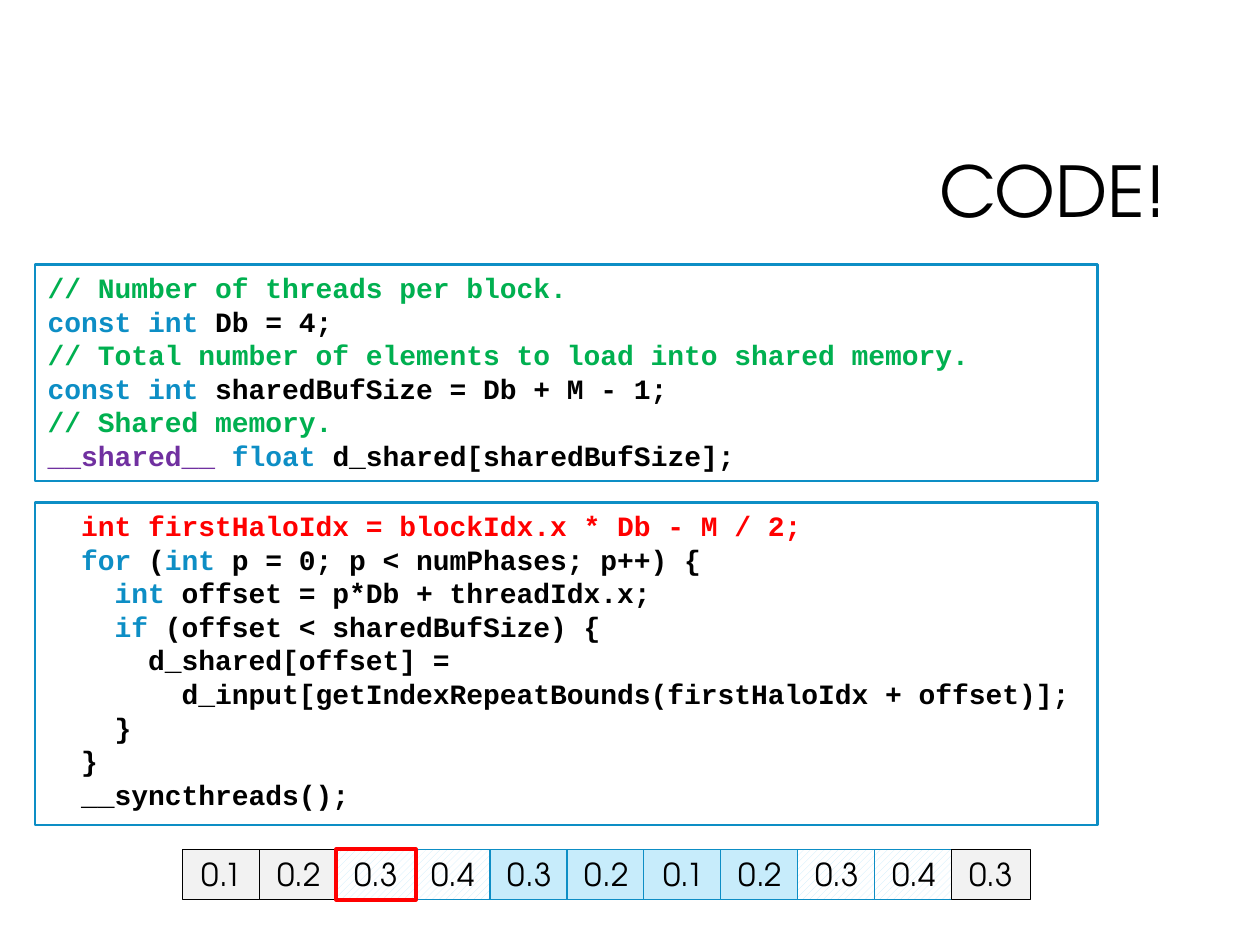
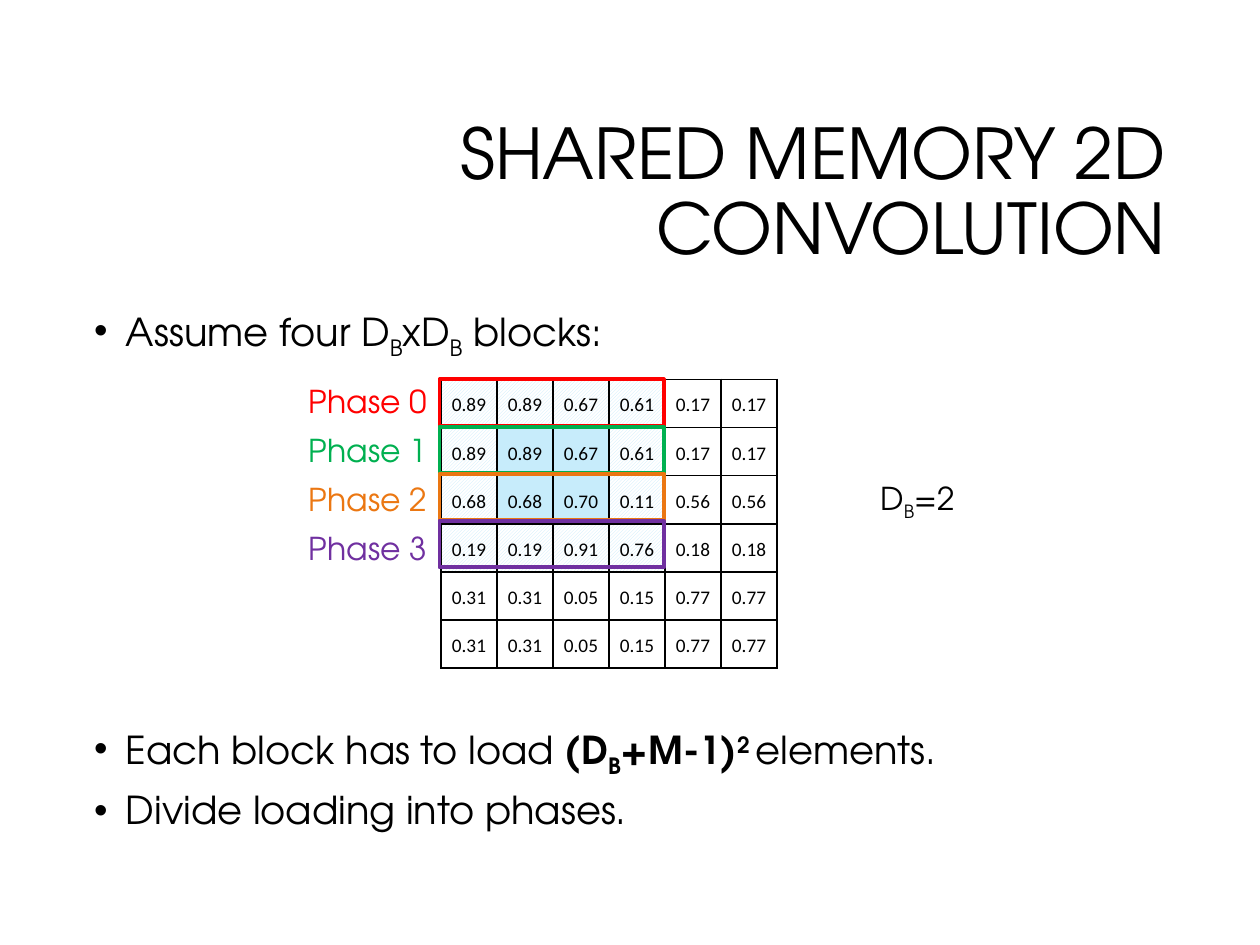
from lxml.etree import SubElement
from pptx import Presentation
from pptx.dml.color import RGBColor
from pptx.enum.dml import MSO_PATTERN as Pat
from pptx.enum.shapes import MSO_SHAPE as Shp
from pptx.enum.text import MSO_ANCHOR as Anchor, PP_ALIGN as Align
from pptx.oxml.ns import qn
from pptx.util import Cm, Pt

BLACK = RGBColor(0x00, 0x00, 0x00)
WHITE = RGBColor(0xFF, 0xFF, 0xFF)
BLUE = RGBColor(0x0D, 0x8E, 0xC5)
PALE = RGBColor(0xC7, 0xEC, 0xFB)
GREY = RGBColor(0xF2, 0xF2, 0xF2)
RED = RGBColor(0xFF, 0x00, 0x00)
GREEN = RGBColor(0x00, 0xB0, 0x50)
ORANGE = RGBColor(0xEB, 0x77, 0x12)
PURPLE = RGBColor(0x70, 0x30, 0xA0)
SANS, MONO, TABLE_FONT = "TeX Gyre Adventor", "Courier New", "Calibri"

DECLARATIONS = [
    [("// Number of threads per block.", GREEN)],
    [("const int ", BLUE), ("Db = 4;", BLACK)],
    [("// Total number of elements to load into shared memory.", GREEN)],
    [("const int ", BLUE), ("sharedBufSize = Db + M - 1;", BLACK)],
    [("// Shared memory.", GREEN)],
    [("__shared__ ", PURPLE), ("float ", BLUE), ("d_shared[sharedBufSize];", BLACK)],
]
LOADING_LOOP = [
    [("  int firstHaloIdx = blockIdx.x * Db - M / 2;", RED)],
    [("  for", BLUE), (" (", BLACK), ("int", BLUE),
     (" p = 0; p < numPhases; p++) {", BLACK)],
    [("    int", BLUE), (" offset = p*Db + threadIdx.x;", BLACK)],
    [("    if", BLUE), (" (offset < sharedBufSize) {", BLACK)],
    [("      d_shared[offset] =", BLACK)],
    [("        d_input[getIndexRepeatBounds(firstHaloIdx + offset)];", BLACK)],
    [("    }", BLACK)],
    [("  }", BLACK)],
    [("  __syncthreads();", BLACK)],
]
BUFFER = [0.1, 0.2, 0.3, 0.4, 0.3, 0.2, 0.1, 0.2, 0.3, 0.4, 0.3]
FIRST_HALO = 2
IMAGE = [
    [0.89, 0.89, 0.67, 0.61, 0.17, 0.17],
    [0.89, 0.89, 0.67, 0.61, 0.17, 0.17],
    [0.68, 0.68, 0.70, 0.11, 0.56, 0.56],
    [0.19, 0.19, 0.91, 0.76, 0.18, 0.18],
    [0.31, 0.31, 0.05, 0.15, 0.77, 0.77],
    [0.31, 0.31, 0.05, 0.15, 0.77, 0.77],
]
PHASE_COLORS = [RED, GREEN, ORANGE, PURPLE]


def add_run(p, text, size, color=BLACK, font=SANS, bold=False, base=0):
    """Append a formatted run, raised or lowered by base percent."""
    r = p.add_run()
    r.text = text
    f = r.font
    f.size, f.name, f.bold = Pt(size), font, bold
    f.color.rgb = color
    if base:
        r._r.get_or_add_rPr().set("baseline", str(base * 1000))


def add_text(shapes, x, y, w, h, wrap=True):
    """Add a text box and return its text frame."""
    tf = shapes.add_textbox(Cm(x), Cm(y), Cm(w), Cm(h)).text_frame
    tf.word_wrap = wrap
    return tf


def add_box(shapes, x, y, w, h, line, width):
    """Add an unfilled outlined rectangle."""
    sp = shapes.add_shape(Shp.RECTANGLE, Cm(x), Cm(y), Cm(w), Cm(h))
    sp.shadow.inherit = False
    sp.fill.background()
    sp.line.color.rgb = line
    sp.line.width = Pt(width)
    return sp


def hatch(fill, pattern):
    """Fill with pale diagonal stripes on white."""
    fill.patterned()
    fill.pattern = pattern
    fill.fore_color.rgb, fill.back_color.rgb = PALE, WHITE


def paint(fill, color):
    """Fill with one colour."""
    fill.solid()
    fill.fore_color.rgb = color


def add_title(s, text):
    """Add the right-aligned slide title."""
    tf = add_text(s.shapes, 6.05, 2.13, 17.7, 3.58)
    tf.vertical_anchor = Anchor.MIDDLE
    p = tf.paragraphs[0]
    p.alignment, p.line_spacing = Align.RIGHT, 0.9
    add_run(p, text, 40)


def add_code(s, x, y, w, h, lines):
    """Add a framed listing with one paragraph per line of code."""
    tf = add_box(s.shapes, x, y, w, h, BLUE, 1.5).text_frame
    tf.word_wrap, tf.vertical_anchor = True, Anchor.TOP
    for i, line in enumerate(lines):
        p = tf.add_paragraph() if i else tf.paragraphs[0]
        p.alignment = Align.LEFT
        for text, color in line:
            add_run(p, text, 16, color, MONO, True)


def add_buffer(s, x, y, pitch):
    """Draw the row of buffer elements, the first halo element on top."""
    order = sorted(range(len(BUFFER)), key=lambda i: i == FIRST_HALO)
    for i in order:
        outside = i < 2 or i > 9
        line = RED if i == FIRST_HALO else BLACK if outside else BLUE
        width = 2.25 if i == FIRST_HALO else 0.75
        sp = add_box(s.shapes, x + i * pitch, y, pitch + 0.05, 1.02, line, width)
        if outside:
            paint(sp.fill, GREY)
        elif 4 <= i <= 7:
            paint(sp.fill, PALE)
        else:
            hatch(sp.fill, Pat.WIDE_UPWARD_DIAGONAL)
        tf = sp.text_frame
        tf.vertical_anchor = Anchor.TOP
        p = tf.paragraphs[0]
        p.alignment = Align.CENTER
        add_run(p, str(BUFFER[i]), 18)


def add_bullets(s, x, y, w, h, items):
    """Add bulleted paragraphs made of (text, bold, baseline) runs."""
    tf = add_text(s.shapes, x, y, w, h)
    for i, item in enumerate(items):
        p = tf.add_paragraph() if i else tf.paragraphs[0]
        pPr = p._p.get_or_add_pPr()
        pPr.set("marL", str(Cm(0.64)))
        pPr.set("indent", str(Cm(-0.64)))
        SubElement(pPr, qn("a:buFont"), typeface="Arial")
        SubElement(pPr, qn("a:buChar"), char="•")
        p.line_spacing = 0.9
        if i:
            p.space_before = Pt(10)
        for text, bold, base in item:
            add_run(p, text, 22, bold=bold, base=base)


def set_borders(cell):
    """Give a cell thin black lines on every side."""
    tcPr = cell._tc.get_or_add_tcPr()
    for side in "LRTB":
        ln = SubElement(tcPr, qn(f"a:ln{side}"), w=str(Pt(1)))
        SubElement(SubElement(ln, qn("a:solidFill")), qn("a:srgbClr"), val=str(BLACK))


def add_image_table(s, x, y, col_w, row_h):
    """Add the grid of values, shading the block and its halo."""
    n = len(IMAGE)
    t = s.shapes.add_table(n, n, Cm(x), Cm(y), Cm(n * col_w), Cm(n * row_h)).table
    t.first_row = t.horz_banding = False
    for i in range(n):
        t.columns[i].width, t.rows[i].height = Cm(col_w), Cm(row_h)
    for i, row in enumerate(IMAGE):
        for j, value in enumerate(row):
            cell = t.cell(i, j)
            cell.margin_left = cell.margin_right = Cm(0.18)
            cell.margin_top = cell.margin_bottom = 0
            cell.vertical_anchor = Anchor.MIDDLE
            set_borders(cell)
            if i > 3 or j > 3:
                cell.fill.background()
            elif i in (1, 2) and j in (1, 2):
                paint(cell.fill, PALE)
            elif j == 0 and i < 3:
                hatch(cell.fill, Pat.DARK_UPWARD_DIAGONAL)
            else:
                hatch(cell.fill, Pat.LIGHT_UPWARD_DIAGONAL)
            p = cell.text_frame.paragraphs[0]
            p.alignment, p.line_spacing = Align.CENTER, 1.15
            add_run(p, f"{value:.2f}", 11, font=TABLE_FONT)


def add_phases(s, x, y):
    """Outline each loaded row and label it with its phase."""
    for i, color in enumerate(PHASE_COLORS):
        shapes = s.shapes.add_group_shape().shapes
        add_box(shapes, x, y + i * 0.95, 4.52, 0.94, color, 2.25)
        tf = add_text(shapes, x - 2.88, y - 0.08 + i * 0.99, 2.92, 1.02, False)
        add_run(tf.paragraphs[0], f"Phase {i}", 18, color)


def code_slide(s):
    """Build the slide with the loading code."""
    add_title(s, "CODE!")
    add_code(s, 0.71, 5.33, 21.41, 4.37, DECLARATIONS)
    add_code(s, 0.71, 10.13, 21.41, 6.5, LOADING_LOOP)
    add_buffer(s, 3.68, 17.12, 1.55)


def convolution_slide(s):
    """Build the slide on two-dimensional convolution."""
    add_title(s, "SHARED MEMORY 2D CONVOLUTION")
    add_bullets(s, 1.65, 6.1, 22.1, 1.42, [
        [("Assume four D", False, 0), ("B", False, -25), ("xD", False, 0),
         ("B", False, -25), (" blocks:", False, 0)]])
    p = add_text(s.shapes, 17.5, 9.53, 3.99, 1.02).paragraphs[0]
    for text, base in [("D", 0), ("B", -25), ("=2", 0)]:
        add_run(p, text, 18, base=base)
    add_bullets(s, 1.65, 14.53, 22.1, 2.59, [
        [("Each block has to load ", False, 0), ("(D", True, 0), ("B", True, -25),
         ("+M-1)", True, 0), ("2 ", True, 30), ("elements.", False, 0)],
        [("Divide loading into phases.", False, 0)]])
    add_image_table(s, 8.89, 7.65, 1.13, 0.97)
    add_phases(s, 8.86, 7.65)


def main():
    """Build and save the presentation."""
    prs = Presentation()
    prs.slide_width, prs.slide_height = Cm(25.4), Cm(19.05)
    for build in (code_slide, convolution_slide):
        build(prs.slides.add_slide(prs.slide_layouts[6]))
    prs.save("out.pptx")


if __name__ == "__main__":
    main()
